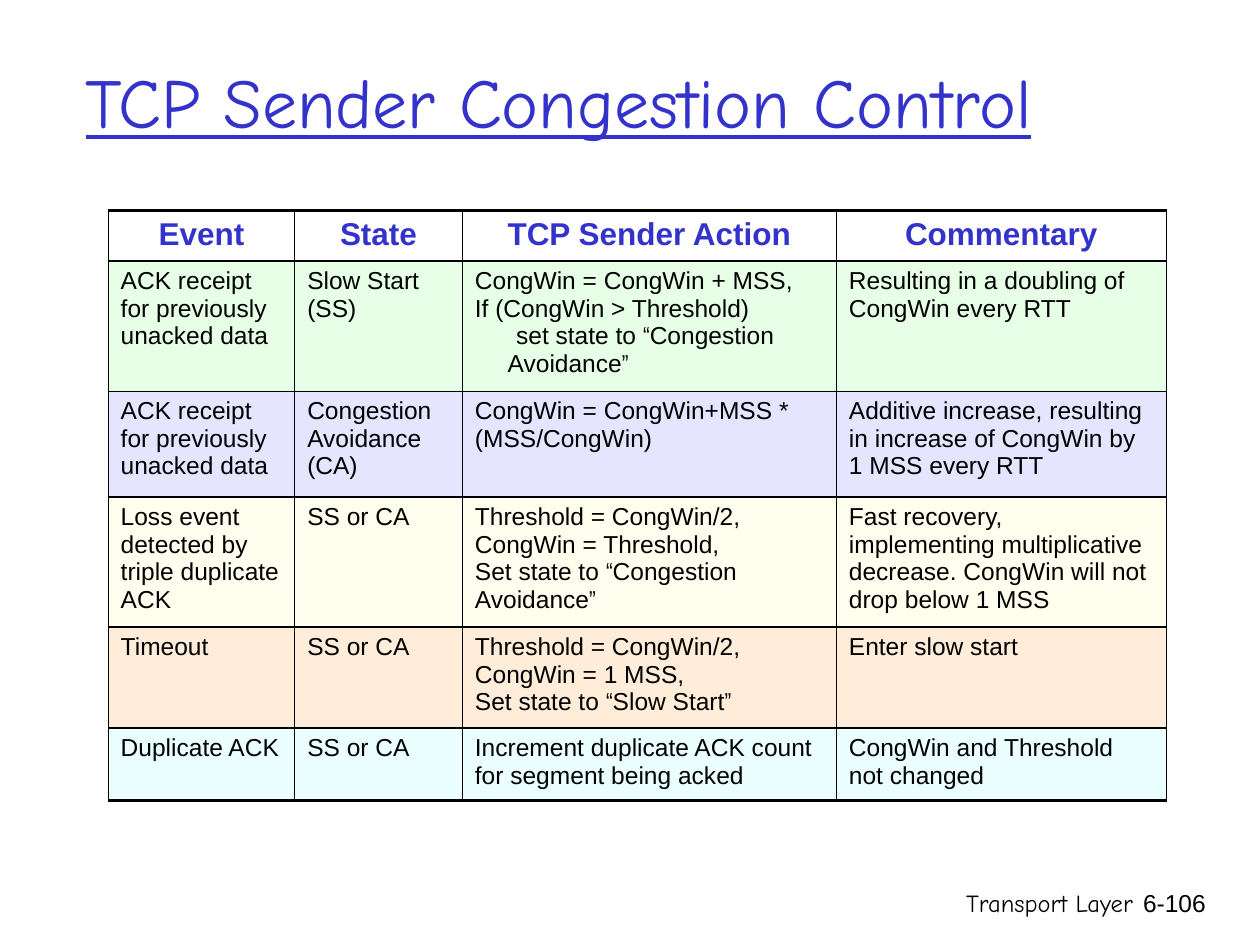
import itertools
import lxml.etree
import pptx
import pptx.util
import pptx.dml.color
import pptx.enum.text
import pptx.oxml.ns

Cm, Pt = pptx.util.Cm, pptx.util.Pt
ALIGN = pptx.enum.text.PP_ALIGN

# Content: cells are lists of paragraphs
TITLE = "TCP Sender Congestion Control"
FOOTER = [  # text, font, left, width
    ("Transport Layer", "Comic Neue", 15.04, 8.05),
    ("6-106", "Arial", 22.68, 1.88),
]
HEADER = ["Event", "State", "TCP Sender Action", "Commentary"]
UNACKED = ["ACK receipt for previously unacked data"]
EITHER = ["SS or CA"]
ROWS = [  # fill, height, cells
    ("slow start", 2.62, [
        UNACKED, ["Slow Start (SS)"],
        ["CongWin = CongWin + MSS,", "If (CongWin > Threshold)",
         "set state to “Congestion Avoidance”"],
        ["Resulting in a doubling of CongWin every RTT"]]),
    ("avoidance", 2.13, [
        UNACKED, ["Congestion", "Avoidance (CA)"],
        ["CongWin = CongWin+MSS * (MSS/CongWin)"],
        ["Additive increase, resulting in increase of CongWin by 1 MSS every RTT"]]),
    ("loss", 2.62, [
        ["Loss event detected by triple duplicate ACK"], EITHER,
        ["Threshold = CongWin/2,", "CongWin = Threshold,",
         "Set state to “Congestion Avoidance”"],
        ["Fast recovery, implementing multiplicative decrease. "
         "CongWin will not drop below 1 MSS"]]),
    ("timeout", 2.03, [
        ["Timeout"], EITHER,
        ["Threshold = CongWin/2,", "CongWin = 1 MSS,", "Set state to “Slow Start”"],
        ["Enter slow start"]]),
    ("duplicate", 1.45, [
        ["Duplicate ACK"], EITHER,
        ["Increment duplicate ACK count for segment being acked"],
        ["CongWin and Threshold not changed"]]),
]
COLS = [3.76, 3.38, 7.54, 6.65]
HEADER_HEIGHT = 1.02
COLORS = {
    "text": "000000", "accent": "3333CC", "slow start": "E7FFE7",
    "avoidance": "E5E5FF", "loss": "FFFFEF", "timeout": "FFECD9",
    "duplicate": "EBFFFF",
}


def rgb(name):
    return pptx.dml.color.RGBColor.from_string(COLORS[name])


def write(p, text, font="Arial", size=14, color="text", bold=False,
          underline=False, align=ALIGN.LEFT):
    """Fill a paragraph; curly quotes get the narrow font."""
    p.alignment = align
    for quote, chars in itertools.groupby(text, lambda ch: ch in "“”"):
        r = p.add_run()
        r.text = "".join(chars)
        r.font.name = "Arial Narrow" if quote else font
        r.font.size = Pt(size)
        r.font.bold = bold
        r.font.underline = underline
        r.font.color.rgb = rgb(color)


def indent(p, left, first):
    pPr = p._p.get_or_add_pPr()
    pPr.set("marL", str(Cm(left)))
    pPr.set("indent", str(Cm(first)))


def set_borders(cell, top, bottom):
    tcPr = cell._tc.get_or_add_tcPr()
    for side, width in (("L", 0.75), ("R", 0.75), ("T", top), ("B", bottom)):
        ln = lxml.etree.SubElement(tcPr, pptx.oxml.ns.qn(f"a:ln{side}"), w=str(Pt(width)))
        fill = lxml.etree.SubElement(ln, pptx.oxml.ns.qn("a:solidFill"))
        lxml.etree.SubElement(fill, pptx.oxml.ns.qn("a:srgbClr"), val=COLORS["text"])


prs = pptx.Presentation()
prs.slide_width, prs.slide_height = Cm(25.4), Cm(19.05)
s = prs.slides.add_slide(prs.slide_layouts[5])

# Title
sp = s.shapes.title
sp.left, sp.top, sp.width, sp.height = Cm(1.47), Cm(0.43), Cm(21.59), Cm(3.18)
tf = sp.text_frame
tf.auto_size = pptx.enum.text.MSO_AUTO_SIZE.NONE
tf.vertical_anchor = pptx.enum.text.MSO_ANCHOR.MIDDLE
write(tf.paragraphs[0], TITLE, font="Comic Neue", size=40, color="accent", underline=True)

# Footer
for text, font, left, width in FOOTER:
    tf = s.shapes.add_textbox(Cm(left), Cm(17.78), Cm(width), Cm(1.27)).text_frame
    tf.word_wrap = True
    write(tf.paragraphs[0], text, font=font, align=ALIGN.RIGHT)

# Table grid
heights = [HEADER_HEIGHT] + [height for _, height, _ in ROWS]
table = s.shapes.add_table(len(heights), len(COLS), Cm(2.18), Cm(4.24),
                           Cm(sum(COLS)), Cm(sum(heights))).table
table.first_row = table.horz_banding = False
for col, width in zip(table.columns, COLS):
    col.width = Cm(width)
for i, height in enumerate(heights):
    table.rows[i].height = Cm(height)
    for cell in table.rows[i].cells:
        set_borders(cell, top=2 if i == 0 else 1,
                    bottom=2 if i == len(ROWS) else 1)

# Table header
for cell, text in zip(table.rows[0].cells, HEADER):
    cell.fill.background()
    write(cell.text_frame.paragraphs[0], text, size=18, color="accent",
          bold=True, align=ALIGN.CENTER)

# Table body
for i, (fill, _, cells) in enumerate(ROWS, 1):
    for cell, lines in zip(table.rows[i].cells, cells):
        cell.fill.solid()
        cell.fill.fore_color.rgb = rgb(fill)
        tf = cell.text_frame
        for n, line in enumerate(lines):
            p = tf.add_paragraph() if n else tf.paragraphs[0]
            if line.startswith("set state"):
                indent(p, 0.66, 0.17)
            write(p, line)

prs.save("out.pptx")
